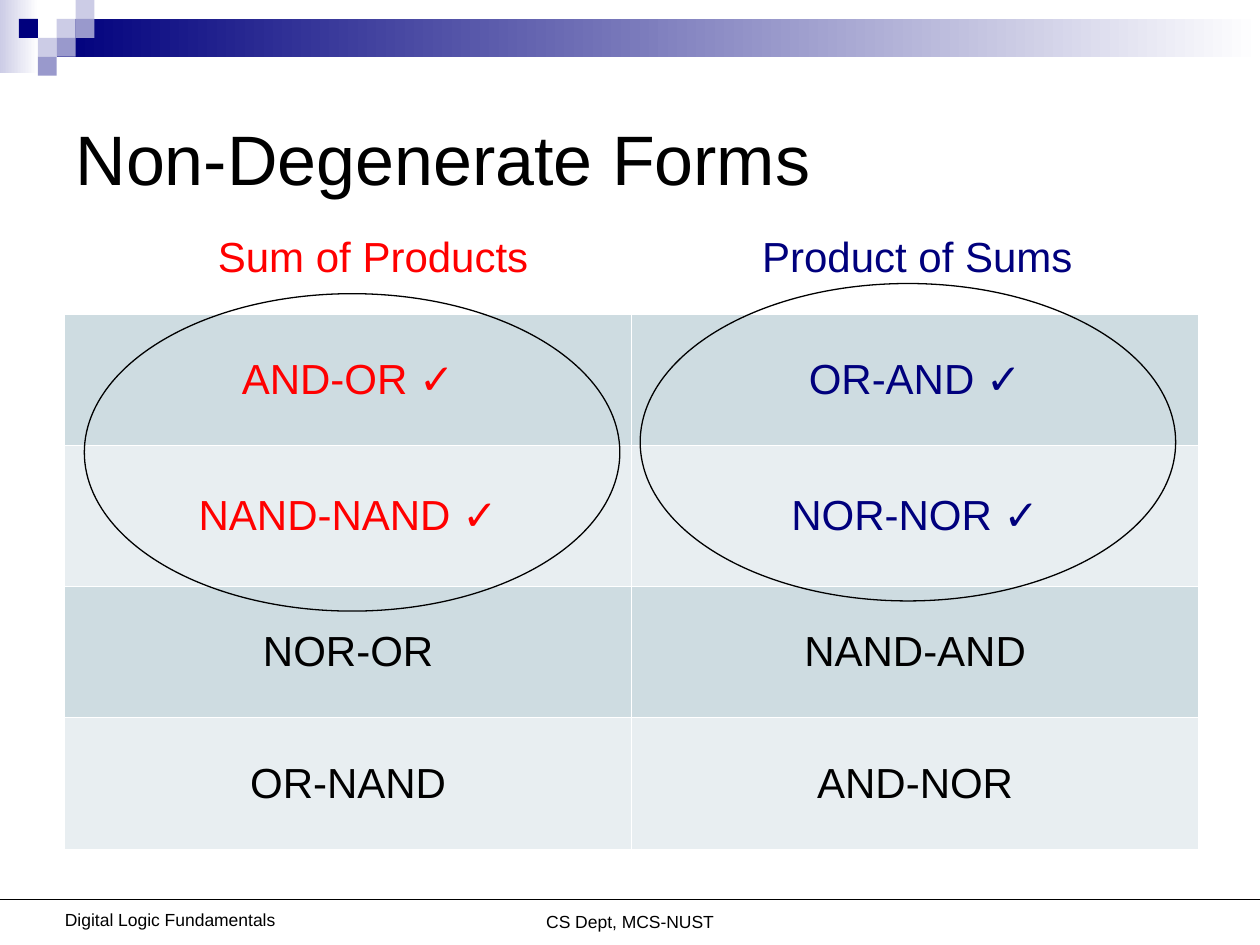
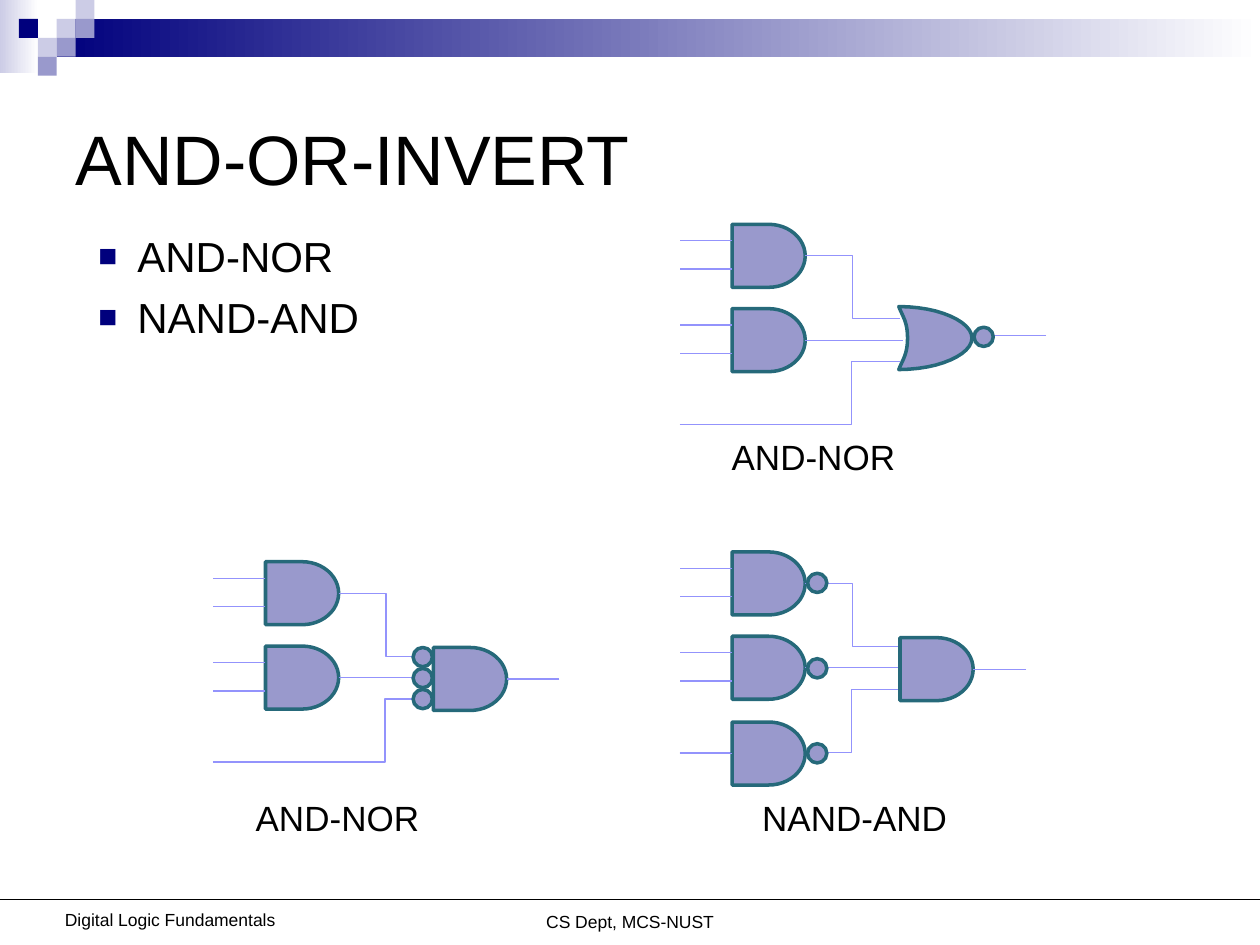
from lxml import etree
from pptx import Presentation
from pptx.dml.color import RGBColor
from pptx.enum.shapes import MSO_CONNECTOR, MSO_SHAPE
from pptx.enum.text import MSO_ANCHOR, MSO_AUTO_SIZE, PP_ALIGN
from pptx.oxml.ns import qn
from pptx.util import Pt

RECTANGLE, ELLIPSE = MSO_SHAPE.RECTANGLE, MSO_SHAPE.OVAL
AND_SHAPE, BUBBLE = MSO_SHAPE.FLOWCHART_DELAY, MSO_SHAPE.FLOWCHART_CONNECTOR
STRAIGHT, ELBOW = MSO_CONNECTOR.STRAIGHT, MSO_CONNECTOR.ELBOW
LEFT, CENTER = PP_ALIGN.LEFT, PP_ALIGN.CENTER
TOP, MIDDLE, BOTTOM = MSO_ANCHOR.TOP, MSO_ANCHOR.MIDDLE, MSO_ANCHOR.BOTTOM
LEFT_SIDE, RIGHT_SIDE = 1, 3

FONT = "Arial"
COLORS = {
    "black": "000000", "white": "FFFFFF", "red": "FF0000",
    "navy": "00007D", "lilac": "9999CC", "pale": "CCCCE6",
    "wire": "9393FC", "outline": "26697A",
    "dark row": "CEDCE1", "light row": "E8EEF1",
}

PAGE_WIDTH, PAGE_HEIGHT = 720, 540
TITLE_BOX = (36, 36, 648, 108)
SQUARE = 10.8
SQUARES = [(3, 1, "pale"), (4, 0, "pale"), (4, 1, "lilac"), (2, 2, "pale"),
           (1, 1, "navy"), (3, 2, "lilac"), (2, 3, "lilac")]
FOOTERS = [("CS Dept, MCS-NUST", (210, 493, 300, 43)),
           ("Digital Logic Fundamentals", (25.2, 492, 144, 43))]

GATE_WIDTH, GATE_HEIGHT, BUBBLE_SIZE = 41.8, 36, 11
GATE_LEFT, OUTPUT_LEFT = 30, 126
GATE_TOPS = (0, 48.2, 97.2)
OUTPUT_TOP = 49
BUBBLE_TOPS = (12.2, 61, 109.6)


def rgb(name):
    return RGBColor.from_string(COLORS[name])


def points(*lengths):
    return [Pt(length) for length in lengths]


def style_shape(shape, fill=None, line=None, width=0.75):
    shape.shadow.inherit = False
    if fill:
        shape.fill.solid()
        shape.fill.fore_color.rgb = rgb(fill)
    else:
        shape.fill.background()
    if line:
        shape.line.color.rgb = rgb(line)
        shape.line.width = Pt(width)
    else:
        shape.line.fill.background()


def add_shape(shapes, kind, box, **style):
    shape = shapes.add_shape(kind, *points(*box))
    style_shape(shape, **style)
    return shape


def add_gradient(shapes, box, start):
    band = add_shape(shapes, RECTANGLE, box)
    band.fill.gradient()
    band.fill.gradient_angle = 0
    for stop, name in zip(band.fill.gradient_stops, (start, "white")):
        stop.color.rgb = rgb(name)


def add_line(shapes, start, end, color="wire", kind=STRAIGHT, bend=None):
    """Draw a connector; bend is the share of its width where an elbow turns."""
    line = shapes.add_connector(kind, *points(*start, *end))
    line.line.color.rgb = rgb(color)
    line.line.width = Pt(0.75)
    properties = line._element.spPr
    etree.SubElement(properties, qn("a:effectLst"))
    if bend is not None:
        guides = properties.find(qn("a:prstGeom")).get_or_add_avLst()
        etree.SubElement(guides, qn("a:gd"), name="adj1",
                         fmla=f"val {round(bend * 100000)}")
    return line


def write(para, text, size, color="black", align=LEFT):
    para.alignment = align
    span = para.add_run()
    span.text = text
    span.font.name = FONT
    span.font.size = Pt(size)
    span.font.color.rgb = rgb(color)


def add_label(page, box, text, size, color="black", align=LEFT, anchor=TOP):
    frame = page.shapes.add_textbox(*points(*box)).text_frame
    frame.word_wrap = True
    frame.vertical_anchor = anchor
    write(frame.paragraphs[0], text, size, color, align)


def place(holder, box):
    holder.left, holder.top, holder.width, holder.height = points(*box)
    holder.text_frame.auto_size = MSO_AUTO_SIZE.NONE
    return holder.text_frame


def add_page(deck, layout, title):
    page = deck.slides.add_slide(deck.slide_layouts.get_by_name(layout))
    frame = place(page.shapes.title, TITLE_BOX)
    frame.vertical_anchor = MIDDLE
    write(frame.paragraphs[0], title, 40)
    add_header(page)
    add_footer(page)
    return page


def add_header(page):
    add_gradient(page.shapes, (0, 0, 22, 41.8), "pale")
    add_gradient(page.shapes, (3 * SQUARE, SQUARE, PAGE_WIDTH - 3 * SQUARE, 2 * SQUARE), "navy")
    for column, row, color in SQUARES:
        add_shape(page.shapes, RECTANGLE,
                  (column * SQUARE, row * SQUARE, SQUARE, SQUARE), fill=color)


def add_footer(page):
    for text, box in FOOTERS:
        add_label(page, box, text, 10, align=CENTER, anchor=BOTTOM)
    add_line(page.shapes, (0, 514), (PAGE_WIDTH, 514), "black")


def add_cell_borders(cell):
    properties = cell._tc.get_or_add_tcPr()
    for side in ("a:lnL", "a:lnR", "a:lnT", "a:lnB"):
        line = etree.SubElement(properties, qn(side), w=str(Pt(0.45)))
        fill = etree.SubElement(line, qn("a:solidFill"))
        etree.SubElement(fill, qn("a:srgbClr"), val=COLORS["white"])


def add_forms_table(page, box, heights, rows):
    """Add the table; the first two rows hold the marked, coloured forms."""
    table = page.shapes.add_table(len(rows), len(rows[0]), *points(*box)).table
    table.first_row = table.horz_banding = False
    for row, (height, texts) in enumerate(zip(heights, rows)):
        table.rows[row].height = Pt(height)
        colors = ("red", "navy") if row < 2 else ("black", "black")
        for column, (text, color) in enumerate(zip(texts, colors)):
            cell = table.cell(row, column)
            add_cell_borders(cell)
            cell.fill.solid()
            cell.fill.fore_color.rgb = rgb("light row" if row % 2 else "dark row")
            cell.vertical_anchor = MIDDLE
            write(cell.text_frame.paragraphs[0], text, 24, color, CENTER)


def add_bullets(page, box, texts):
    frame = place(page.placeholders[1], box)
    for index, text in enumerate(texts):
        para = frame.add_paragraph() if index else frame.paragraphs[0]
        properties = para._p.get_or_add_pPr()
        properties.set("marL", str(Pt(28.8)))
        properties.set("indent", str(Pt(-22.3)))
        color = etree.SubElement(properties, qn("a:buClr"))
        etree.SubElement(color, qn("a:srgbClr"), val=COLORS["navy"])
        etree.SubElement(properties, qn("a:buSzPct"), val="75000")
        etree.SubElement(properties, qn("a:buFont"), typeface=FONT)
        etree.SubElement(properties, qn("a:buChar"), char="■")
        para.space_before = Pt(6 if index else 0)
        write(para, text, 24)


def bezier(start, first, second, end, steps=12):
    curve = []
    for step in range(steps + 1):
        t = step / steps
        weights = ((1 - t) ** 3, 3 * t * (1 - t) ** 2, 3 * t * t * (1 - t), t ** 3)
        curve.append(tuple(sum(weight * value for weight, value in zip(weights, values))
                           for values in zip(start, first, second, end)))
    return curve


def add_or_gate(shapes, left, top):
    middle = GATE_HEIGHT / 2
    upper = (bezier((5, middle), (5, 8.6), (2.2, 5.8), (0, 0))
             + bezier((0, 0), (23, 0), (GATE_WIDTH, 8.6), (GATE_WIDTH, middle))[1:])
    lower = [(x, GATE_HEIGHT - y) for x, y in reversed(upper)]
    outline = [points(left + x, top + y) for x, y in upper + lower[1:]]
    builder = shapes.build_freeform(*outline[0], scale=1.0)
    builder.add_line_segments(outline[1:], close=True)
    style_shape(builder.convert_to_shape(), "lilac", "outline", 2)


def add_circuit(page, origin, bubbles, or_output=False, third_gate=False):
    """Draw two or three input gates feeding one output gate."""
    left, top = origin
    shapes = page.shapes.add_group_shape().shapes

    def at(x, y):
        return left + x, top + y

    def add_and_gate(x, y):
        return add_shape(shapes, AND_SHAPE, (*at(x, y), GATE_WIDTH, GATE_HEIGHT),
                         fill="lilac", line="outline", width=2)

    gates = [add_and_gate(GATE_LEFT, y) for y in GATE_TOPS[:2]]
    for gate_top in GATE_TOPS[:2]:
        for pin in (9.4, 25.6):
            add_line(shapes, at(GATE_LEFT, gate_top + pin), at(0, gate_top + pin))

    gate_right = GATE_LEFT + GATE_WIDTH
    add_line(shapes, at(gate_right, 18), at(OUTPUT_LEFT, 54), kind=ELBOW, bend=0.5)
    middle_wire = add_line(shapes, at(gate_right, 66.2), at(OUTPUT_LEFT + 1.5, 66.2))
    middle_wire.begin_connect(gates[1], RIGHT_SIDE)
    add_line(shapes, at(0, 114.5), at(OUTPUT_LEFT, 78.5), kind=ELBOW, bend=0.78)

    if or_output:
        add_or_gate(shapes, *at(OUTPUT_LEFT - 0.7, OUTPUT_TOP - 2))
        add_line(shapes, at(209.5, 63.5), at(179.5, 63.5))
    else:
        output = add_and_gate(OUTPUT_LEFT, OUTPUT_TOP)
        output_wire = add_line(shapes, at(198, 67), at(168, 67))
        output_wire.end_connect(output, RIGHT_SIDE)
    if third_gate:
        third = add_and_gate(GATE_LEFT, GATE_TOPS[2])
        third_wire = add_line(shapes, at(0, 115.2), at(GATE_LEFT, 115.2))
        third_wire.end_connect(third, LEFT_SIDE)
    for x, y in bubbles:
        add_shape(shapes, BUBBLE, (*at(x, y), BUBBLE_SIZE, BUBBLE_SIZE),
                  fill="lilac", line="outline", width=2)


def build_forms_page(deck):
    page = add_page(deck, "Title Only", "Non-Degenerate Forms")
    add_forms_table(page, (36.9, 179.6, 648, 306), (75, 80.5, 75, 75.5), [
        ("AND-OR ✓", "OR-AND ✓"),
        ("NAND-NAND ✓", "NOR-NOR ✓"),
        ("NOR-OR", "NAND-AND"),
        ("OR-NAND", "AND-NOR"),
    ])
    for text, color, label_left, ring_left, ring_top in (
            ("Sum of Products", "red", 117.4, 48.2, 167.8),
            ("Product of Sums", "navy", 428.4, 365.8, 162)):
        add_shape(page.shapes, ELLIPSE, (ring_left, ring_top, 306, 181.4), line="black")
        add_label(page, (label_left, 128.2, 204, 36), text, 24, color)


def build_invert_page(deck):
    page = add_page(deck, "Title and Content", "AND-OR-INVERT")
    add_bullets(page, (42.5, 128.2, 590, 378), ["AND-NOR", "NAND-AND"])
    add_circuit(page, (388.3, 128.2), [(168.3, 58.8)], or_output=True)
    add_circuit(page, (121.7, 321), [(114.4, OUTPUT_TOP + 12 * row) for row in range(3)])
    add_circuit(page, (388.3, 315.4), [(73.2, y) for y in BUBBLE_TOPS], third_gate=True)
    for text, box in (("AND-NOR", (411, 245.5, 114, 31.7)),
                      ("AND-NOR", (139, 451.5, 114, 31.7)),
                      ("NAND-AND", (428.4, 451.5, 126, 31.7))):
        add_label(page, box, text, 20)


def main():
    deck = Presentation()
    deck.slide_width, deck.slide_height = points(PAGE_WIDTH, PAGE_HEIGHT)
    build_forms_page(deck)
    build_invert_page(deck)
    deck.save("out.pptx")


if __name__ == "__main__":
    main()
